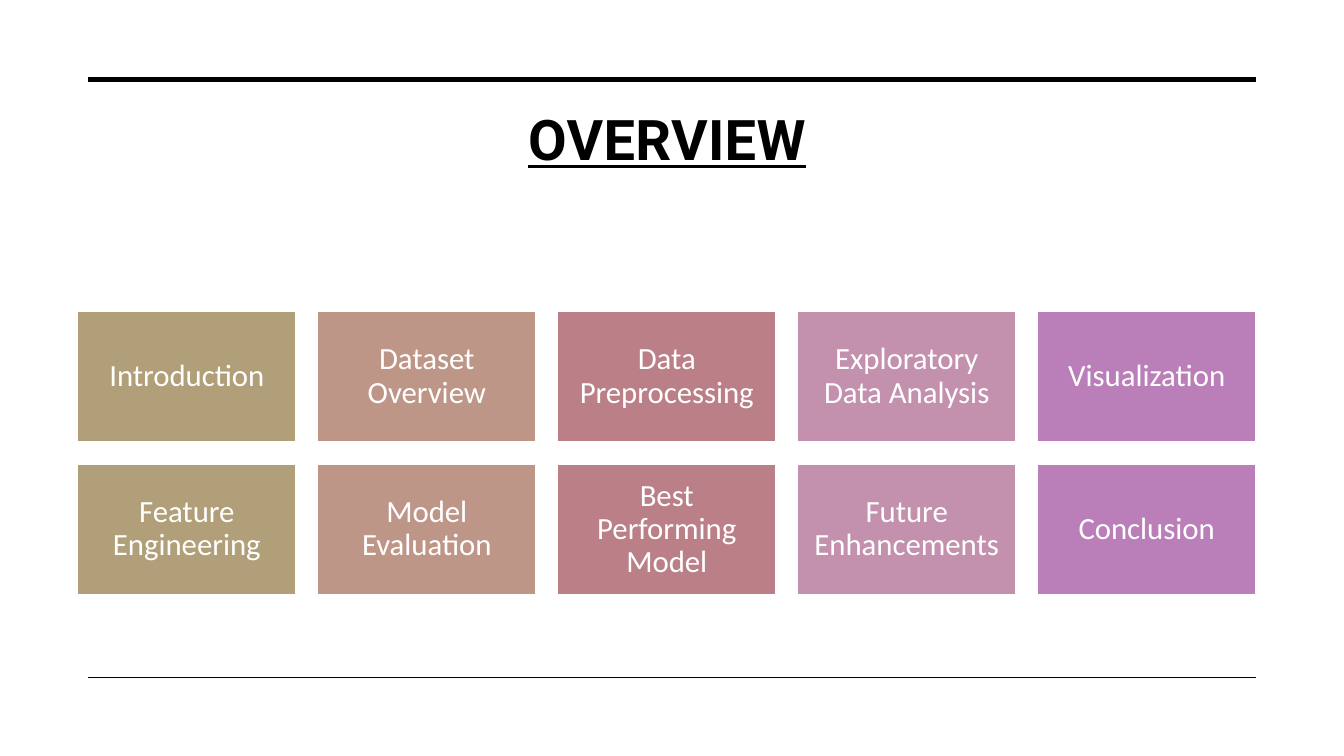
"""Build the overview slide: a title between two rules and a grid of topics."""
from lxml import etree
from pptx import Presentation
from pptx.dml.color import RGBColor
from pptx.enum.shapes import MSO_CONNECTOR, MSO_SHAPE
from pptx.enum.text import MSO_ANCHOR, PP_ALIGN
from pptx.oxml.ns import qn
from pptx.util import Pt

STRAIGHT = MSO_CONNECTOR.STRAIGHT
RECTANGLE = MSO_SHAPE.RECTANGLE
TOP = MSO_ANCHOR.TOP
MIDDLE = MSO_ANCHOR.MIDDLE
CENTER = PP_ALIGN.CENTER

COLORS = {
    "ink": "000000",
    "paper": "FFFFFF",
    "olive": "B09F78",
    "clay": "BE9687",
    "rose": "BA7F87",
    "pink": "C391AD",
    "violet": "BA7FB8",
}
COLUMN_COLORS = ["olive", "clay", "rose", "pink", "violet"]
TOPICS = [
    "Introduction", "Dataset Overview", "Data Preprocessing",
    "Exploratory Data Analysis", "Visualization",
    "Feature Engineering", "Model Evaluation", "Best Performing Model",
    "Future Enhancements", "Conclusion",
]
GRID_LEFT, GRID_TOP = 55.6, 222.3
TILE_WIDTH, TILE_HEIGHT = 155.8, 93.5
COLUMN_STEP, ROW_STEP = 171.4, 109.1
RULE_LEFT, RULE_RIGHT = 63.1, 897.1


def color(name):
    return RGBColor.from_string(COLORS[name])


def add_rule(slide, top, width):
    rule = slide.shapes.add_connector(
        STRAIGHT, Pt(RULE_LEFT), Pt(top), Pt(RULE_RIGHT), Pt(top))
    rule.line.color.rgb = color("ink")
    rule.line.width = Pt(width)
    etree.SubElement(rule._element.spPr, qn("a:effectLst"))


def write_text(shape, text, font_name, size, color_name, anchor):
    frame = shape.text_frame
    frame.word_wrap = True
    frame.vertical_anchor = anchor
    paragraph = frame.paragraphs[0]
    paragraph.text = text
    paragraph.alignment = CENTER
    paragraph.font.name = font_name
    paragraph.font.size = Pt(size)
    paragraph.font.color.rgb = color(color_name)
    return paragraph


def add_title(slide, text):
    title = slide.shapes.add_textbox(Pt(55.6), Pt(71.3), Pt(841.7), Pt(90))
    paragraph = write_text(title, text, "Roboto", 40, "ink", TOP)
    paragraph.font.bold = True
    paragraph.font.underline = True
    paragraph.runs[0].font._element.set("spc", "30")


def add_tile(slide, text, left, top, fill_name):
    tile = slide.shapes.add_shape(
        RECTANGLE, Pt(left), Pt(top), Pt(TILE_WIDTH), Pt(TILE_HEIGHT))
    tile.shadow.inherit = False
    tile.fill.solid()
    tile.fill.fore_color.rgb = color(fill_name)
    tile.line.color.rgb = color("paper")
    tile.line.width = Pt(1)
    frame = tile.text_frame
    frame.margin_left = frame.margin_right = Pt(6.6)
    frame.margin_top = frame.margin_bottom = Pt(6.6)
    paragraph = write_text(tile, text, "Calibri", 22, "paper", MIDDLE)
    paragraph.line_spacing = 0.9


def main():
    presentation = Presentation()
    presentation.slide_width = Pt(960)
    presentation.slide_height = Pt(540)
    slide = presentation.slides.add_slide(presentation.slide_layouts[6])
    add_rule(slide, 56.9, 3.5)
    add_rule(slide, 483.8, 1)
    add_title(slide, "OVERVIEW")
    for index, topic in enumerate(TOPICS):
        row, column = divmod(index, len(COLUMN_COLORS))
        add_tile(slide, topic, GRID_LEFT + column * COLUMN_STEP,
                 GRID_TOP + row * ROW_STEP, COLUMN_COLORS[column])
    presentation.save("out.pptx")


if __name__ == "__main__":
    main()
